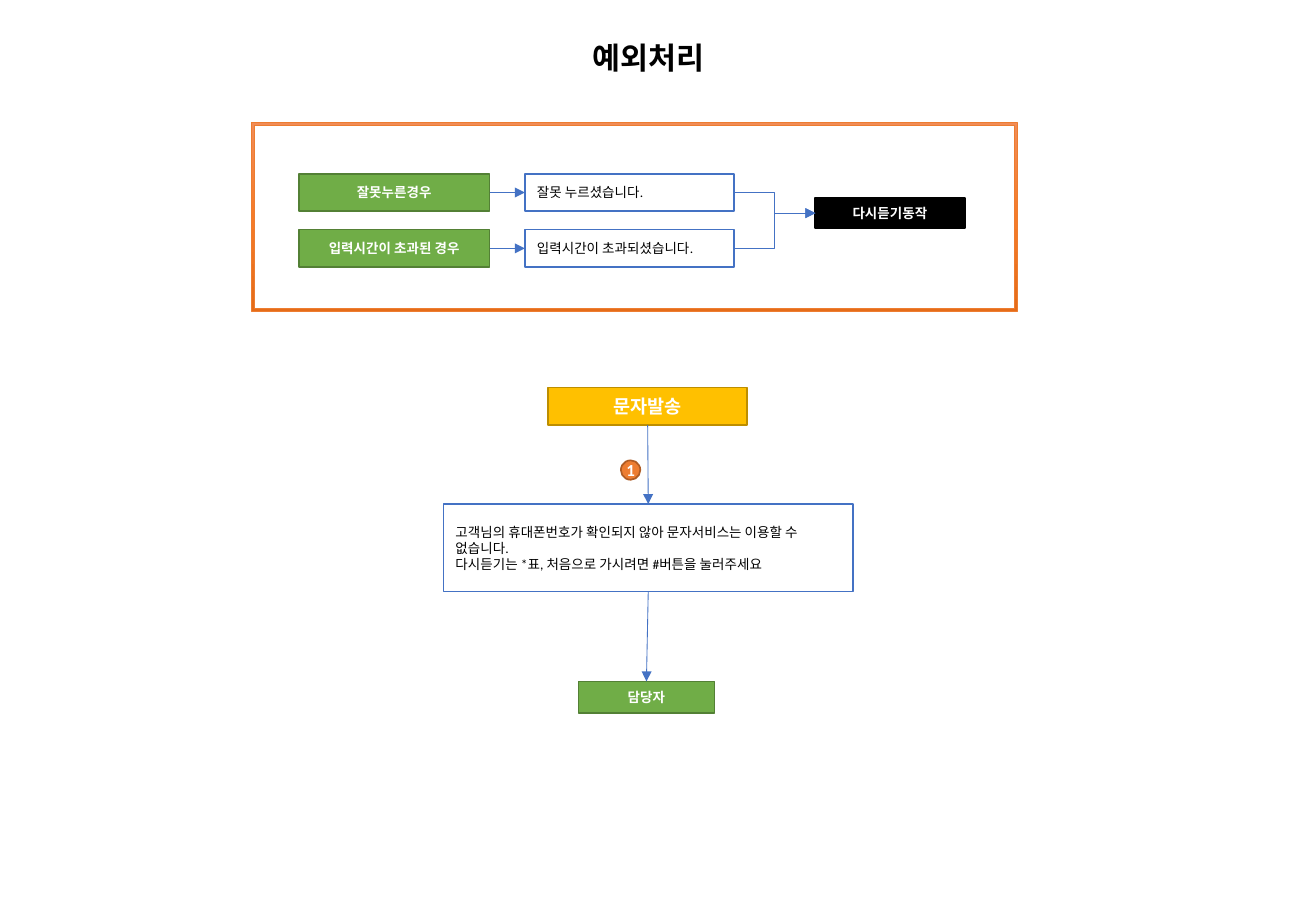
from dataclasses import dataclass

from lxml.etree import SubElement
from copy import deepcopy
from pptx import Presentation
from pptx.dml.color import RGBColor as Rgb
from pptx.enum.shapes import MSO_CONNECTOR as Wire, MSO_SHAPE as Form
from pptx.enum.text import MSO_ANCHOR as Anchor, MSO_AUTO_SIZE as Fit, PP_ALIGN as Align
from pptx.oxml.ns import qn
from pptx.shapes.autoshape import Shape
from pptx.shapes.shapetree import SlideShapes
from pptx.text.text import TextFrame
from pptx.util import Emu, Inches, Pt

WIDE, HIGH = Inches(10.83), Inches(7.5)
COLS, ROWS = 1083, 750


@dataclass(frozen=True)
class Paint:
    fill: str
    line: str
    text: str = "FFFFFF"
    bold: bool = True
    align: Align = Align.CENTER


@dataclass(frozen=True)
class Theme:
    font: str = "Calibri"
    black: str = "000000"
    blue: str = "4472C4"
    edge: str = "ED7D31"
    glow: tuple[str, ...] = ("F18C57", "F67B28", "E56C19")
    title: float = 18
    head: float = 11
    badge: float = 10
    body: float = 8
    thin: float = 0.5
    thick: float = 1
    green: Paint = Paint("70AD47", "538035")
    gold: Paint = Paint("FFC000", "BD8E00")
    dark: Paint = Paint("000000", "000000")
    orange: Paint = Paint("ED7D31", "AF5C24")
    white: Paint = Paint("FFFFFF", "4472C4", "000000", False, Align.LEFT)


THEME = Theme()


@dataclass(frozen=True)
class Area:
    col: float
    row: float
    wide: float
    high: float

    def place(self) -> tuple[Emu, Emu, Emu, Emu]:
        return (Emu(int(WIDE * self.col / COLS)), Emu(int(HIGH * self.row / ROWS)),
                Emu(int(WIDE * self.wide / COLS)), Emu(int(HIGH * self.high / ROWS)))


@dataclass(frozen=True)
class Box:
    name: str
    text: str
    area: Area
    paint: Paint
    size: float = THEME.body
    form: Form = Form.RECTANGLE


@dataclass(frozen=True)
class Link:
    start: str
    end: str
    sites: tuple[int, int]
    wire: Wire = Wire.STRAIGHT


TOP, LEFT, BOTTOM, RIGHT = range(4)
ACROSS, DOWN = (RIGHT, LEFT), (BOTTOM, TOP)
CASES = (
    ("잘못누른경우", "잘못 누르셨습니다."),
    ("입력시간이 초과된 경우", "입력시간이 초과되셨습니다."),
)
FIRST, STEP, TALL = 143, 46, 31

BOXES = [
    Box("notice", "고객님의 휴대폰번호가 확인되지 않아 문자서비스는 이용할 수 없습니다.\n"
        "다시듣기는 *표, 처음으로 가시려면 #버튼을 눌러주세요",
        Area(365, 415, 337, 72), THEME.white),
    Box("send", "문자발송", Area(451, 319, 164, TALL), THEME.gold, THEME.head),
    Box("agent", "담당자", Area(476, 561, 112, 26), THEME.green),
    Box("badge", "1", Area(511, 379, 16, 16), THEME.orange, THEME.badge, Form.OVAL),
    Box("replay", "다시듣기동작", Area(671, 163, 123, 25), THEME.dark),
]
LINKS = [Link("send", "notice", DOWN), Link("notice", "agent", DOWN)]
for rank, (case, reply) in enumerate(CASES):
    row = FIRST + rank * STEP
    BOXES += [
        Box(f"case{rank}", case, Area(246, row, 157, TALL), THEME.green),
        Box(f"reply{rank}", reply, Area(432, row, 172, TALL), THEME.white),
    ]
    LINKS += [
        Link(f"case{rank}", f"reply{rank}", ACROSS),
        Link(f"reply{rank}", "replay", ACROSS, Wire.ELBOW),
    ]


def write(frame: TextFrame, text: str, size: float, tint: str, bold: bool,
          align: Align) -> None:
    frame.text = text
    for para in frame.paragraphs:
        para.alignment = align
        font = para.font
        font.name, font.size, font.bold = THEME.font, Pt(size), bold
        font.color.rgb = Rgb.from_string(tint)


def draw_title(shapes: SlideShapes) -> None:
    frame = shapes.add_textbox(*Area(478, 27, 121, 40).place()).text_frame
    frame.word_wrap = False
    frame.auto_size = Fit.SHAPE_TO_FIT_TEXT
    write(frame, "예외처리", THEME.title, THEME.black, True, Align.LEFT)


def draw_frame(shapes: SlideShapes) -> None:
    shape = shapes.add_shape(Form.FRAME, *Area(207, 101, 630, 155).place())
    shape.adjustments[0] = 0.014
    shape.shadow.inherit = False
    shape.line.color.rgb = Rgb.from_string(THEME.edge)
    shape.line.width = Pt(THEME.thin)
    fill = shape.fill
    fill.gradient()
    fill.gradient_angle = 270
    stops = shape._element.spPr.find(qn("a:gradFill")).find(qn("a:gsLst"))
    stops.append(deepcopy(stops[-1]))
    for rank, (stop, tint) in enumerate(zip(fill.gradient_stops, THEME.glow)):
        stop.color.rgb = Rgb.from_string(tint)
        stop.position = rank / 2


def draw_box(shapes: SlideShapes, box: Box) -> Shape:
    shape = shapes.add_shape(box.form, *box.area.place())
    paint = box.paint
    shape.shadow.inherit = False
    shape.fill.solid()
    shape.fill.fore_color.rgb = Rgb.from_string(paint.fill)
    shape.line.color.rgb = Rgb.from_string(paint.line)
    shape.line.width = Pt(THEME.thick)
    frame = shape.text_frame
    frame.vertical_anchor = Anchor.MIDDLE
    if box.form == Form.OVAL:
        frame.word_wrap = False
        frame.margin_left = frame.margin_right = 0
        frame.margin_top = frame.margin_bottom = 0
    write(frame, box.text, box.size, paint.text, paint.bold, paint.align)
    return shape


def draw_link(shapes: SlideShapes, link: Link, drawn: dict[str, Shape]) -> None:
    wire = shapes.add_connector(link.wire, 0, 0, 0, 0)
    wire.begin_connect(drawn[link.start], link.sites[0])
    wire.end_connect(drawn[link.end], link.sites[1])
    wire.line.color.rgb = Rgb.from_string(THEME.blue)
    wire.line.width = Pt(THEME.thin)
    props = wire._element.spPr
    SubElement(props.find(qn("a:ln")), qn("a:tailEnd"), type="triangle")
    SubElement(props, qn("a:effectLst"))


def main() -> None:
    deck = Presentation()
    deck.slide_width, deck.slide_height = WIDE, HIGH
    shapes = deck.slides.add_slide(deck.slide_layouts[6]).shapes
    draw_title(shapes)
    draw_frame(shapes)
    drawn = {box.name: draw_box(shapes, box) for box in BOXES}
    for link in LINKS:
        draw_link(shapes, link, drawn)
    deck.save("out.pptx")


if __name__ == "__main__":
    main()
